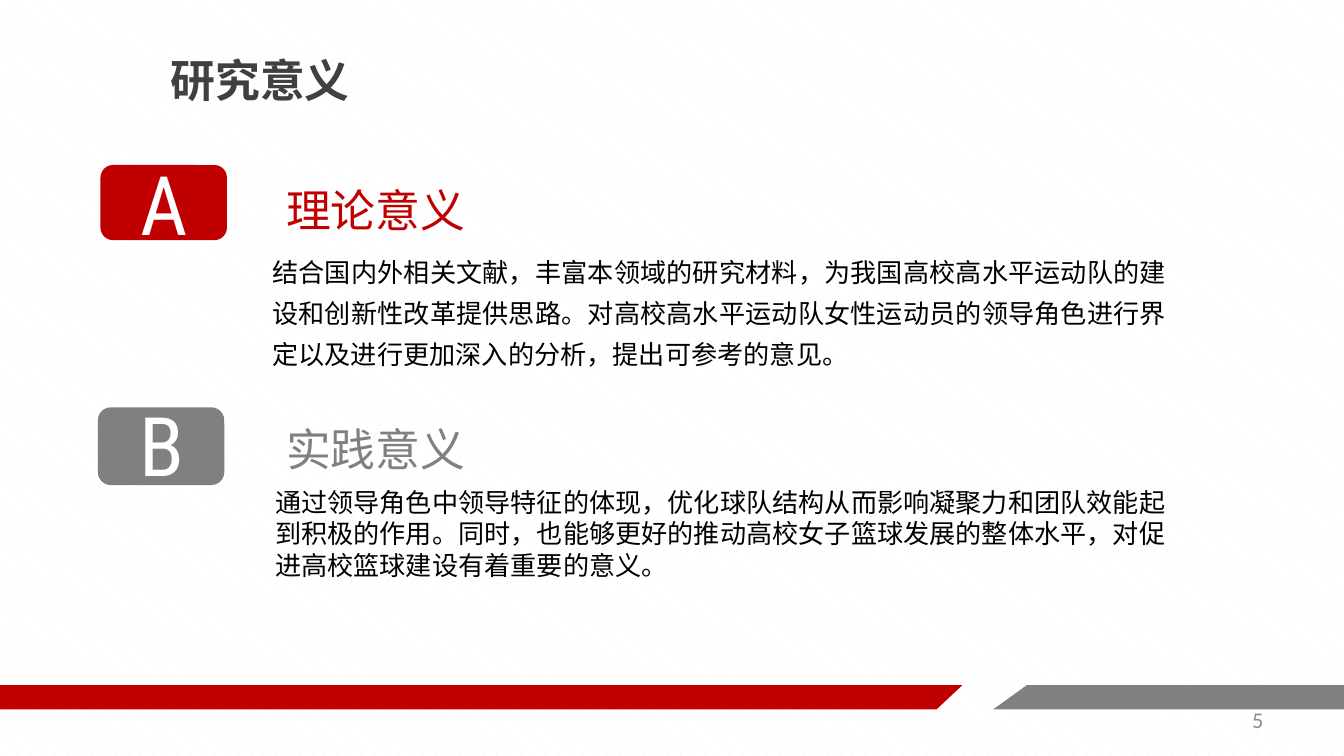
from pptx import Presentation
from pptx.dml.color import RGBColor
from pptx.enum.dml import MSO_PATTERN
from pptx.enum.shapes import MSO_SHAPE
from pptx.enum.text import MSO_ANCHOR, MSO_AUTO_SIZE, PP_ALIGN
from pptx.oxml.ns import qn
from pptx.util import Cm, Pt
from lxml.etree import SubElement

RED, GREY, DARK, PALE = "C00000", "808080", "404040", "8C8C8C"
CJK, LATIN, LETTER = "Noto Sans CJK SC", "Calibri", "Roboto Condensed"

TITLE = "研究意义"
PAGE = "5"
# Boxes are left, top, width, height in cm
SECTIONS = [
    dict(letter="A", heading="理论意义", color=RED,
         body="结合国内外相关文献，丰富本领域的研究材料，为我国高校高水平运动队的建设和创新性改革提供思路。"
              "对高校高水平运动队女性运动员的领导角色进行界定以及进行更加深入的分析，提出可参考的意见。",
         badge=(1.9, 3.12, 2.39, 1.42), letter_box=(2.41, 2.77, 1.14, 2.13),
         heading_box=(5.16, 3.12, 3.94, 1.37), body_box=(4.9, 4.55, 17.4, 3.38),
         body_format=dict(align=PP_ALIGN.JUSTIFY, spacing=1.3)),
    dict(letter="B", heading="实践意义", color=GREY,
         body="通过领导角色中领导特征的体现，优化球队结构从而影响凝聚力和团队效能起到积极的作用。"
              "同时，也能够更好的推动高校女子篮球发展的整体水平，对促进高校篮球建设有着重要的意义。",
         badge=(1.85, 7.7, 2.39, 1.47), letter_box=(2.39, 7.34, 1.19, 2.13),
         heading_box=(5.16, 7.65, 3.94, 1.37), body_box=(4.95, 9.07, 17.73, 2.06),
         body_format={}),
]
BAR_TOP, BAR_BOTTOM = 12.95, 13.41
# Top left, top right, bottom right, bottom left
BARS = [(RED, (0, 18.19, 17.7, 0)), (GREY, (19.41, 25.4, 25.4, 18.77))]


def rgb(value):
    return RGBColor.from_string(value)


def put_text(sp, text, size, color, font=LATIN, bold=False, align=PP_ALIGN.LEFT,
             spacing=None, wrap=True, anchor=MSO_ANCHOR.TOP, grow=False):
    tf = sp.text_frame
    tf.word_wrap = wrap
    tf.vertical_anchor = anchor
    tf.auto_size = MSO_AUTO_SIZE.SHAPE_TO_FIT_TEXT if grow else MSO_AUTO_SIZE.NONE
    p = tf.paragraphs[0]
    p.alignment = align
    if spacing:
        p.line_spacing = spacing
    r = p.add_run()
    r.text = text
    r.font.size = Pt(size)
    r.font.bold = bold
    r.font.color.rgb = rgb(color)
    r.font.name = font
    SubElement(r.font._element, qn("a:ea")).set("typeface", CJK)


def add_text(slide, box, text, size, color, **text_format):
    sp = slide.shapes.add_textbox(*map(Cm, box))
    put_text(sp, text, size, color, **text_format)


def paint(sp, color):
    sp.shadow.inherit = False
    sp.fill.solid()
    sp.fill.fore_color.rgb = rgb(color)
    sp.line.fill.background()


def add_section(slide, s):
    badge = slide.shapes.add_shape(MSO_SHAPE.ROUNDED_RECTANGLE, *map(Cm, s["badge"]))
    paint(badge, s["color"])
    add_text(slide, s["letter_box"], s["letter"], 44, "FFFFFF",
             font=LETTER, wrap=False, grow=True)
    add_text(slide, s["heading_box"], s["heading"], 24, s["color"],
             font=CJK, spacing=1.2, wrap=False, grow=True)
    add_text(slide, s["body_box"], s["body"], 14, "000000", grow=True, **s["body_format"])


def add_bar(slide, color, xs):
    ys = (BAR_TOP, BAR_TOP, BAR_BOTTOM, BAR_BOTTOM)
    start, *others = [(Cm(x), Cm(y)) for x, y in zip(xs, ys)]
    builder = slide.shapes.build_freeform(*start)
    builder.add_line_segments(others, close=True)
    paint(builder.convert_to_shape(), color)


def main():
    prs = Presentation()
    prs.slide_width, prs.slide_height = Cm(25.4), Cm(14.29)
    slide = prs.slides.add_slide(prs.slide_layouts[5])
    fill = slide.background.fill
    fill.patterned()
    fill.pattern = MSO_PATTERN.SMALL_CONFETTI
    fill.fore_color.rgb = rgb("F2F2F2")
    fill.back_color.rgb = rgb("FFFFFF")

    title = slide.shapes.title
    title.left, title.top, title.width, title.height = map(Cm, (2.97, 1.07, 9.96, 0.86))
    put_text(title, TITLE, 24, DARK, font=CJK, bold=True, anchor=MSO_ANCHOR.MIDDLE)
    for section in SECTIONS:
        add_section(slide, section)
    for color, xs in BARS:
        add_bar(slide, color, xs)
    add_text(slide, (18.21, 13.23, 5.92, 0.76), PAGE, 12, PALE,
             align=PP_ALIGN.RIGHT, anchor=MSO_ANCHOR.MIDDLE)
    prs.save("out.pptx")


if __name__ == "__main__":
    main()
